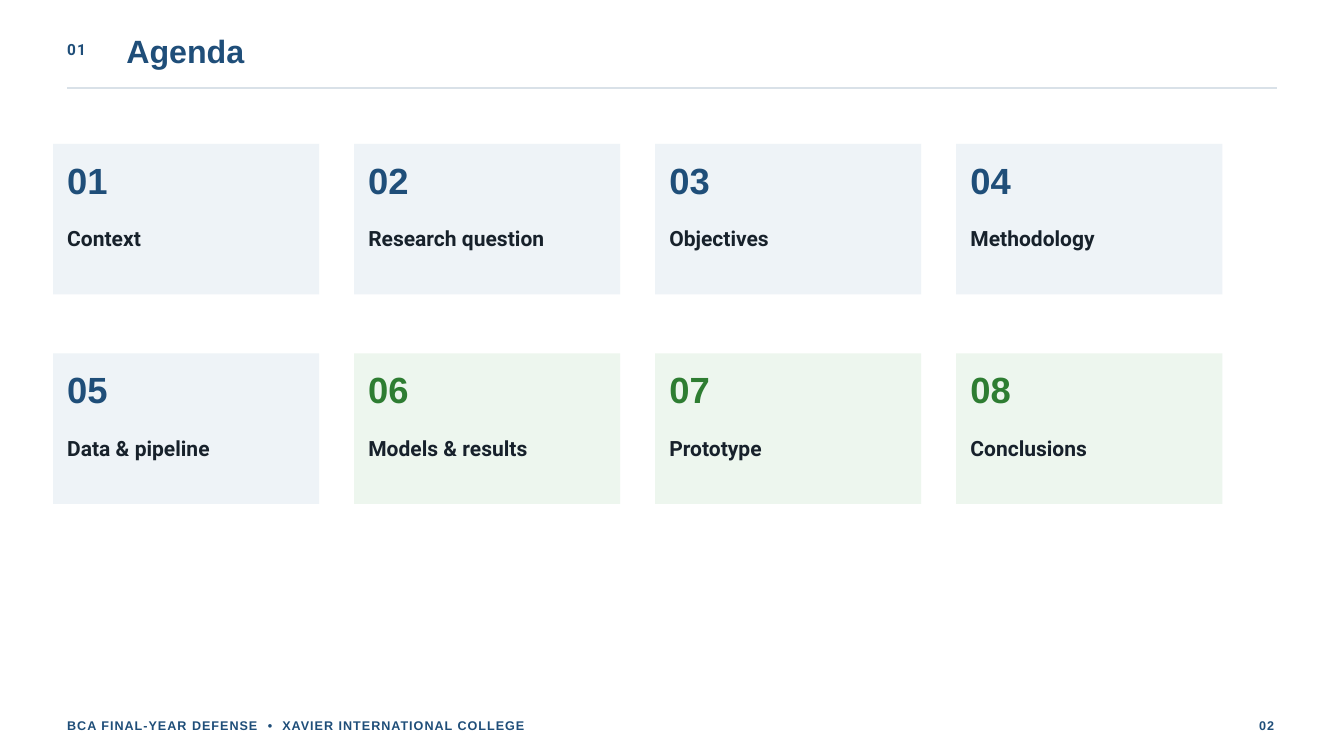
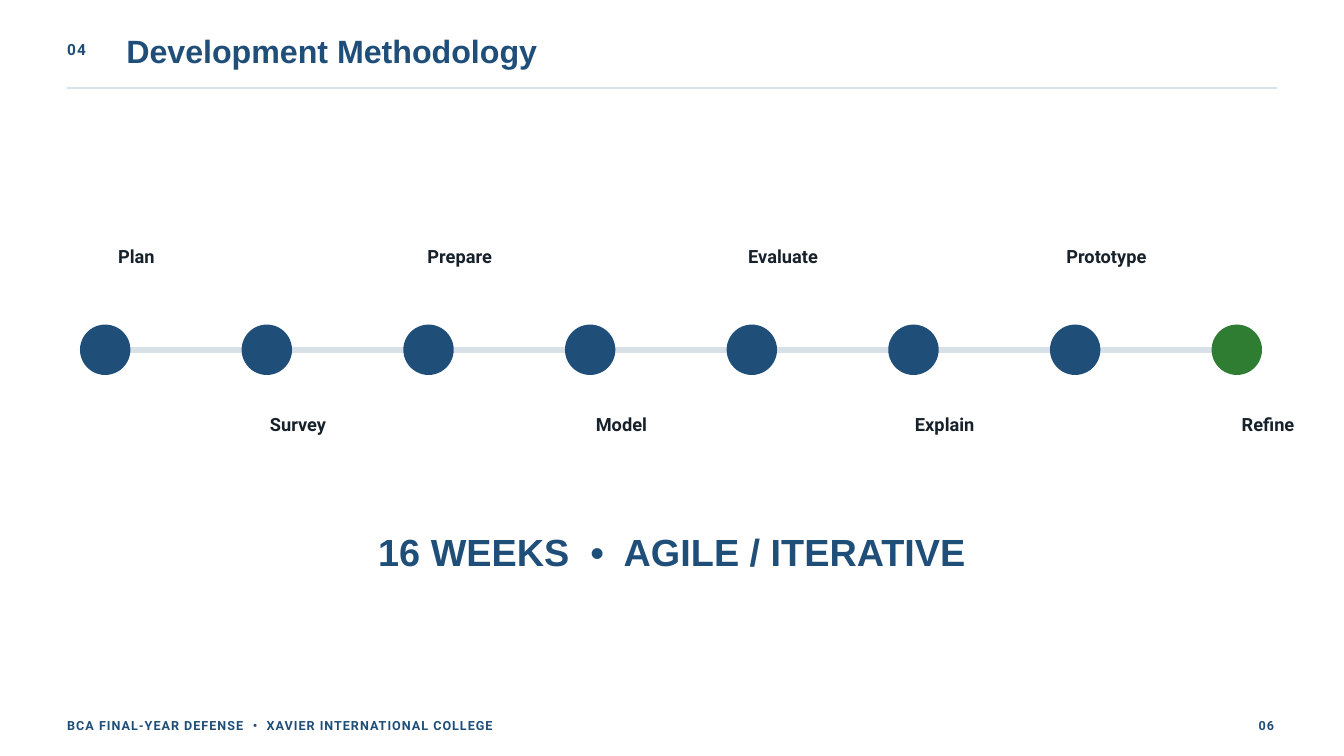
"""Build the agenda and development methodology slides of a project defense."""
import dataclasses

import pptx
import pptx.dml.color
import pptx.enum.shapes
import pptx.enum.text
import pptx.oxml
import pptx.oxml.ns
import pptx.util

Inches = pptx.util.Inches
Pt = pptx.util.Pt
SHAPE = pptx.enum.shapes.MSO_SHAPE
ALIGN = pptx.enum.text.PP_ALIGN


@dataclasses.dataclass(frozen=True)
class Style:
    size: float
    leading: float
    font: str
    color: str
    tracking: float = 0


class Theme:
    NAVY, GREEN, INK = "1F4E79", "2E7D32", "17212B"
    RULE, NAVY_TINT, GREEN_TINT = "D9E1E8", "EEF3F7", "EDF6EE"
    HEADING, BODY = "Arial", "Roboto"
    SPACE_WIDTH = {"Arial": 0.28, "Roboto": 0.25}
    SECTION = Style(16.5, 23.1, BODY, NAVY, 1.3)
    TITLE = Style(34.5, 36.2, HEADING, NAVY)
    NUMBER = Style(39, 41, HEADING, NAVY)
    TOPIC = Style(22.5, 30.4, BODY, INK)
    PHASE = Style(19.5, 26.3, BODY, INK)
    SUMMARY = Style(40.5, 42.5, HEADING, NAVY)
    FOOTER = Style(13.5, 18.9, HEADING, NAVY, 1.1)


FOOTER = ("BCA FINAL-YEAR DEFENSE", "XAVIER INTERNATIONAL COLLEGE")
AGENDA = dict(section="01", title="Agenda", page="02", footer_font=Theme.HEADING)
TOPICS = ["Context", "Research question", "Objectives", "Methodology",
          "Data & pipeline", "Models & results", "Prototype", "Conclusions"]
FIRST_GREEN_TOPIC = 6
METHODOLOGY = dict(section="04", title="Development Methodology", page="06",
                   footer_font=Theme.BODY)
PHASES = ["Plan", "Survey", "Prepare", "Model",
          "Evaluate", "Explain", "Prototype", "Refine"]
SUMMARY = ("16 WEEKS", "AGILE / ITERATIVE")


def rgb(color):
    return pptx.dml.color.RGBColor.from_string(color)


def add_text(slide, parts, box, style, align=ALIGN.LEFT):
    """Write one line; several parts are set apart by a widely spaced bullet."""
    frame = slide.shapes.add_textbox(*map(Inches, box)).text_frame
    frame.margin_left = frame.margin_top = frame.margin_right = frame.margin_bottom = 0
    frame.word_wrap = True
    frame.auto_size = pptx.enum.text.MSO_AUTO_SIZE.SHAPE_TO_FIT_TEXT
    line = frame.paragraphs[0]
    line.alignment = align
    line.line_spacing = Pt(style.leading)
    wide = 2 * style.tracking + Theme.SPACE_WIDTH[style.font] * style.size
    pieces = [(parts[0], style.tracking)]
    for part in parts[1:]:
        pieces += [(" •", wide), (" " + part, style.tracking)]
    for words, tracking in pieces:
        run = line.add_run()
        run.text = words
        run.font.name = style.font
        run.font.size = Pt(style.size)
        run.font.bold = True
        run.font.color.rgb = rgb(style.color)
        if tracking:
            run.font._element.set("spc", str(round(tracking * 100)))


def add_solid(slide, kind, box, color):
    solid = slide.shapes.add_shape(kind, *map(Inches, box))
    solid.shadow.inherit = False
    solid.fill.solid()
    solid.fill.fore_color.rgb = rgb(color)
    solid.line.fill.background()


def add_rule(slide, left, right, y, weight):
    rule = slide.shapes.add_connector(
        pptx.enum.shapes.MSO_CONNECTOR.STRAIGHT,
        Inches(left), Inches(y), Inches(right), Inches(y))
    rule.line.color.rgb = rgb(Theme.RULE)
    rule.line.width = Pt(weight)
    rule._element.spPr.append(pptx.oxml.parse_xml(
        "<a:effectLst %s/>" % pptx.oxml.ns.nsdecls("a")))


def start_slide(deck, section, title, page, footer_font):
    slide = deck.slides.add_slide(deck.slide_layouts[6])
    slide.background.fill.solid()
    slide.background.fill.fore_color.rgb = rgb("FFFFFF")
    add_text(slide, [section], (1, 0.55, 0.83, 0.3), Theme.SECTION)
    add_text(slide, [title], (1.88, 0.54, 15.62, 0.55), Theme.TITLE)
    add_rule(slide, 1, 19, 1.31, 2)
    footer = dataclasses.replace(Theme.FOOTER, font=footer_font)
    add_text(slide, FOOTER, (1, 10.64, 15.1, 0.26), footer)
    add_text(slide, [page], (18.02, 10.64, 0.94, 0.26), footer, ALIGN.RIGHT)
    return slide


def build_agenda(deck):
    slide = start_slide(deck, **AGENDA)
    for index, topic in enumerate(TOPICS):
        row, column = divmod(index, 4)
        left, top = 0.79 + 4.48 * column, 2.14 + 3.12 * row
        green = index + 1 >= FIRST_GREEN_TOPIC
        add_solid(slide, SHAPE.RECTANGLE, (left, top, 3.96, 2.24),
                  Theme.GREEN_TINT if green else Theme.NAVY_TINT)
        number = dataclasses.replace(
            Theme.NUMBER, color=Theme.GREEN if green else Theme.NAVY)
        add_text(slide, [f"{index + 1:02}"],
                 (left + 0.21, top + 0.29, 0.94, 0.61), number)
        add_text(slide, [topic], (left + 0.21, top + 1.17, 3.75, 0.39), Theme.TOPIC)


def build_methodology(deck):
    slide = start_slide(deck, **METHODOLOGY)
    add_rule(slide, 1.56, 18.44, 5.21, 6)
    last = len(PHASES) - 1
    first_left, last_left = 1.19, 18.03
    for index, phase in enumerate(PHASES):
        left = first_left + (last_left - first_left) * index / last
        add_solid(slide, SHAPE.OVAL, (left, 4.83, 0.75, 0.75),
                  Theme.GREEN if index == last else Theme.NAVY)
        label_top = 6.11 if index % 2 else 3.61
        add_text(slide, [phase], (left - 0.2, label_top, 2.08, 0.36),
                 Theme.PHASE, ALIGN.CENTER)
    add_text(slide, SUMMARY, (4.69, 7.96, 10.62, 0.63), Theme.SUMMARY, ALIGN.CENTER)


def main():
    deck = pptx.Presentation()
    deck.slide_width, deck.slide_height = Inches(20), Inches(11.25)
    build_agenda(deck)
    build_methodology(deck)
    deck.save("out.pptx")


if __name__ == "__main__":
    main()
